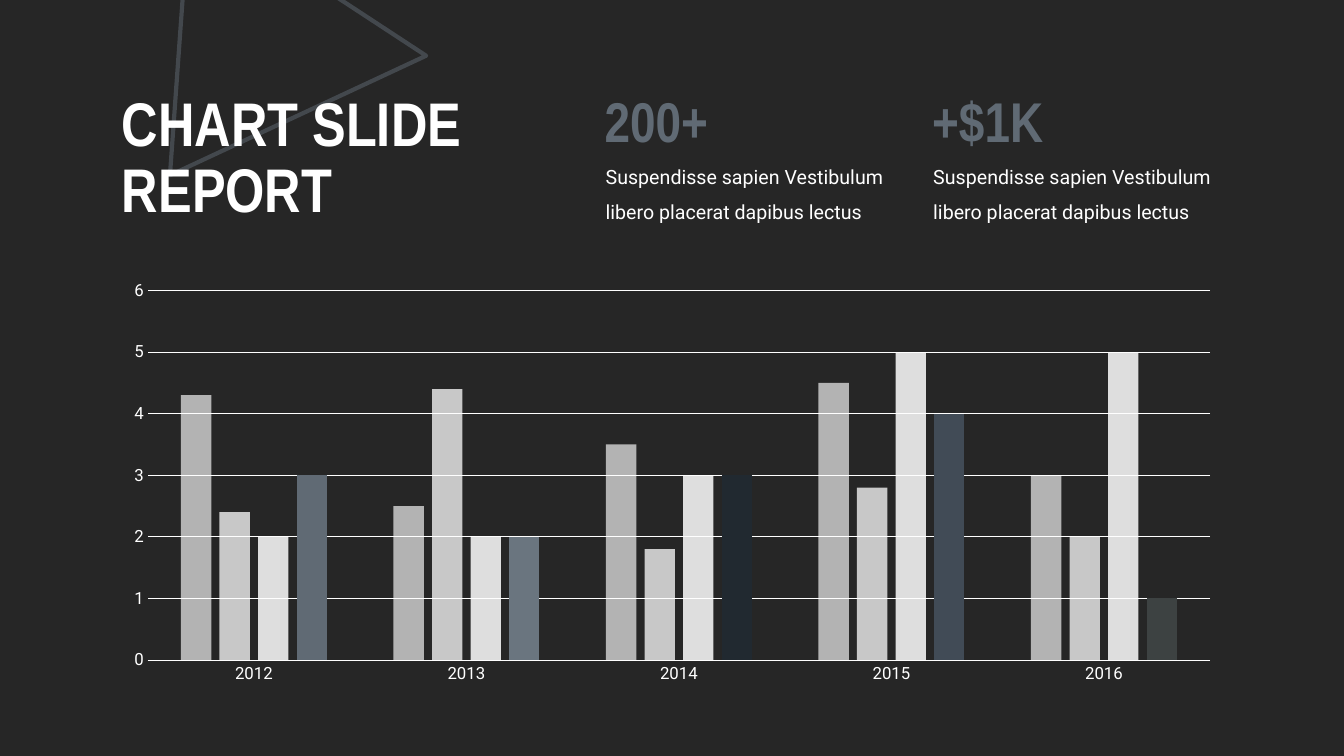
from lxml.etree import SubElement
from pptx import Presentation
from pptx.chart.data import CategoryChartData
from pptx.dml.color import RGBColor
from pptx.enum.chart import XL_CHART_TYPE as ChartType, XL_TICK_MARK as Tick
from pptx.enum.shapes import MSO_SHAPE as Shape
from pptx.enum.text import MSO_ANCHOR as Anchor, MSO_AUTO_SIZE as AutoSize, PP_ALIGN as Align
from pptx.oxml.ns import qn
from pptx.util import Pt

WHITE = RGBColor(0xFF, 0xFF, 0xFF)
DARK = RGBColor(0x26, 0x26, 0x26)
SLATE = RGBColor(0x60, 0x6A, 0x74)
HEADING, BODY = "Arial Narrow", "Roboto"

TITLE = "CHART SLIDE\nREPORT"
BLURB = "Suspendisse sapien Vestibulum libero placerat dapibus lectus"
FIGURES = [("200+", 424.8), ("+$1K", 658.8)]
YEARS = ["2012", "2013", "2014", "2015", "2016"]
SERIES = [
    ("Series 1", [4.3, 2.5, 3.5, 4.5, 3], WHITE, 65),
    ("Series 2", [2.4, 4.4, 1.8, 2.8, 2], WHITE, 75),
    ("Series 3", [2, 2, 3, 5, 5], WHITE, 85),
    ("Series 4", [3, 2, 3, 4, 1], SLATE, 100),
]
POINT_COLORS = {
    1: RGBColor(0x6A, 0x75, 0x7F),
    2: RGBColor(0x21, 0x29, 0x30),
    3: RGBColor(0x41, 0x4B, 0x56),
    4: RGBColor(0x3D, 0x42, 0x42),
}


def paint(fill, color):
    fill.solid()
    fill.fore_color.rgb = color


def set_alpha(sp_pr, percent):
    color = next(sp_pr.iter(qn("a:srgbClr")))
    SubElement(color, qn("a:alpha")).set("val", str(percent * 1000))


def set_font(font, name, size, color, bold=False):
    font.name, font.size, font.bold = name, Pt(size), bold
    font.color.rgb = color


def add_text(s, text, box, name, size, color, bold=False, spacing=1.0):
    tf = s.shapes.add_textbox(*map(Pt, box)).text_frame
    tf.word_wrap = True
    tf.auto_size = AutoSize.SHAPE_TO_FIT_TEXT
    p = tf.paragraphs[0]
    p.text = text
    p.line_spacing = spacing
    set_font(p.font, name, size, color, bold)


def add_triangle(s):
    sp = s.shapes.add_shape(Shape.ISOSCELES_TRIANGLE, Pt(118.1), Pt(-54.7), Pt(196.6), Pt(176.4))
    sp.rotation = 94.1
    sp.shadow.inherit = False
    sp.fill.background()
    sp.line.color.rgb = SLATE
    sp.line.width = Pt(3)
    set_alpha(sp.element.spPr, 50)


def add_title(s):
    title = s.shapes.title
    title.left, title.top, title.width, title.height = map(Pt, (79.9, 56.9, 404.6, 113.8))
    s.shapes.element.append(title.element)
    tf = title.text_frame
    tf.word_wrap = True
    tf.auto_size = AutoSize.NONE
    tf.vertical_anchor = Anchor.MIDDLE
    p = tf.paragraphs[0]
    p.text = TITLE
    p.alignment = Align.LEFT
    p.line_spacing = 0.9
    set_font(p.font, HEADING, 44, WHITE, True)


def add_report_chart(s):
    data = CategoryChartData()
    data.categories = YEARS
    for name, values, _, _ in SERIES:
        data.add_series(name, values)
    frame = s.shapes.add_chart(
        ChartType.COLUMN_CLUSTERED, Pt(79.9), Pt(194.4), Pt(800.6), Pt(300.2), data)
    chart = frame.chart
    chart.has_legend = chart.has_title = False
    set_font(chart.font, BODY, 10, WHITE)
    plot = chart.plots[0]
    plot.gap_width, plot.overlap = 219, -27
    plot.vary_by_categories = False
    for series, (_, _, color, alpha) in zip(plot.series, SERIES):
        series.invert_if_negative = False
        paint(series.format.fill, color)
        if alpha < 100:
            set_alpha(series.format.fill._xPr, alpha)
    for i, color in POINT_COLORS.items():
        paint(plot.series[3].points[i].format.fill, color)
    years, values = chart.category_axis, chart.value_axis
    for axis in (years, values):
        axis.major_tick_mark = axis.minor_tick_mark = Tick.NONE
        set_font(axis.tick_labels.font, BODY, 12, WHITE)
    values.minimum_scale, values.maximum_scale, values.major_unit = 0, 6, 1
    values.format.line.fill.background()
    for line in (years.format.line, values.major_gridlines.format.line):
        line.color.rgb = WHITE
        line.width = Pt(0.75)


def main():
    prs = Presentation()
    prs.slide_width, prs.slide_height = Pt(960), Pt(540)
    s = prs.slides.add_slide(prs.slide_layouts[5])
    paint(s.background.fill, DARK)
    add_triangle(s)
    add_title(s)
    add_report_chart(s)
    for figure, left in FIGURES:
        add_text(s, BLURB, (left + 0.7, 105.8, 236.9, 55.4), BODY, 14, WHITE, spacing=1.5)
        add_text(s, figure, (left, 58.3, 128.9, 55.4), HEADING, 40, SLATE, bold=True)
    prs.save("out.pptx")


if __name__ == "__main__":
    main()
